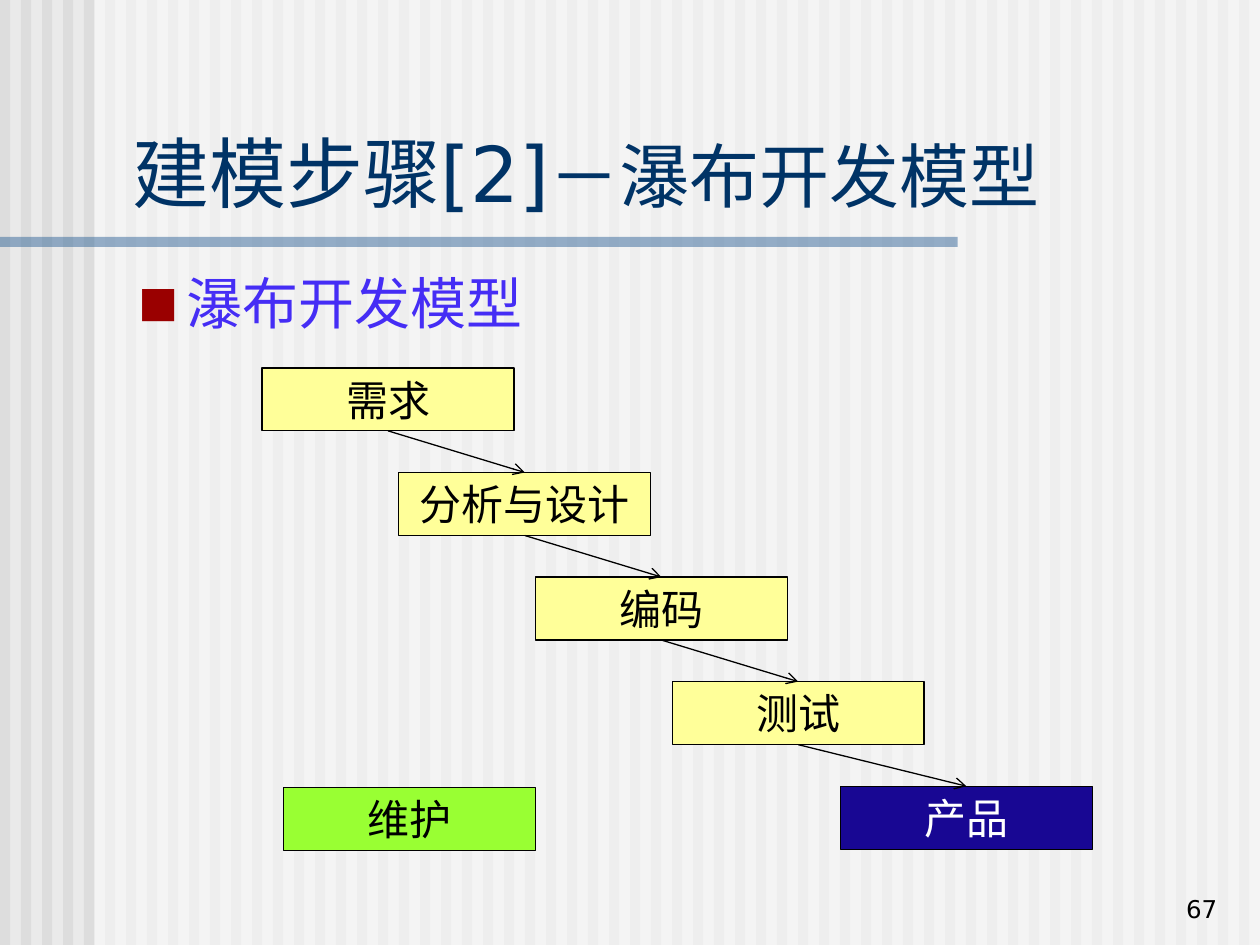
import pptx
import pptx.util
import pptx.dml.color
import pptx.enum.lang
import pptx.enum.shapes
import pptx.enum.text
import pptx.oxml
import pptx.oxml.ns
from pptx.util import Inches

COLORS = {
    "background": "EAEAEA", "stripe": "DDDDDD", "veil": "FFFFFF", "rule": "336699",
    "title": "003366", "bullet": "9A0000", "topic": "452DF5", "text": "000000",
    "step": "FFFF99", "product": "180793", "maintenance": "99FF33", "light": "FFFFFF",
}
ALIGN = pptx.enum.text.PP_ALIGN
ANCHOR = pptx.enum.text.MSO_ANCHOR


class SlideBuilder:
    """Hold the style and the current slide."""

    font_name = "DejaVu Sans"
    line_width = pptx.util.Pt(0.74)

    def __init__(self, presentation):
        """Add a title-only slide with a plain background."""
        self.slide = presentation.slides.add_slide(presentation.slide_layouts[5])
        self.paint(self.slide.background.fill, "background")

    def paint(self, fill, color, opacity=None):
        """Set a solid fill, with an opacity in percent if given."""
        fill.solid()
        fill.fore_color.rgb = pptx.dml.color.RGBColor.from_string(COLORS[color])
        if opacity is not None:
            for color_element in fill._xPr.iter(pptx.oxml.ns.qn("a:srgbClr")):
                self.child(color_element, "a:alpha", val=str(opacity * 1000))

    def child(self, parent, tag, **attributes):
        """Append an XML element and return it."""
        element = pptx.oxml.parse_xml(f"<{tag} {pptx.oxml.ns.nsdecls('a')}/>")
        for name, value in attributes.items():
            element.set(name, value)
        parent.append(element)
        return element

    def style_run(self, run, size, color):
        """Give a run its font, size and colour."""
        run.font.size = pptx.util.Pt(size)
        run.font.name = self.font_name
        run.font.language_id = pptx.enum.lang.MSO_LANGUAGE_ID.SIMPLIFIED_CHINESE
        self.paint(run.font.fill, color)
        self.child(run.font._element, "a:ea", typeface=self.font_name)

    def label(self, shape, text, size, color, align=ALIGN.LEFT, anchor=ANCHOR.TOP):
        """Put one paragraph into a shape and return it."""
        frame = shape.text_frame
        frame.word_wrap = True
        frame.vertical_anchor = anchor
        frame.text = text
        paragraph = frame.paragraphs[0]
        paragraph.alignment = align
        self.style_run(paragraph.runs[0], size, color)
        return paragraph

    def band(self, left, top, width, height, color, opacity=None):
        """Add a rectangle without outline."""
        shape = self.slide.shapes.add_shape(
            pptx.enum.shapes.MSO_SHAPE.RECTANGLE,
            Inches(left), Inches(top), Inches(width), Inches(height))
        shape.shadow.inherit = False
        self.paint(shape.fill, color, opacity)
        shape.line.fill.background()
        return shape

    def title(self, left, top, width, height, parts):
        """Place the title above the background, one run per (text, size)."""
        shape = self.slide.shapes.title
        shape.left, shape.top = Inches(left), Inches(top)
        shape.width, shape.height = Inches(width), Inches(height)
        shape.element.getparent().append(shape.element)
        paragraph = self.label(shape, *parts[0], "title", anchor=ANCHOR.BOTTOM)
        for text, size in parts[1:]:
            run = paragraph.add_run()
            run.text = text
            self.style_run(run, size, "title")

    def text(self, left, top, width, height, *content, **layout):
        """Add a text box and return its paragraph."""
        shape = self.slide.shapes.add_textbox(
            Inches(left), Inches(top), Inches(width), Inches(height))
        return self.label(shape, *content, **layout)

    def bullet(self, *arguments):
        """Add a text box with a small square bullet."""
        properties = self.text(*arguments)._p.get_or_add_pPr()
        indent = Inches(0.38)
        properties.set("marL", str(indent))
        properties.set("indent", str(-indent))
        color = self.child(properties, "a:buClr")
        self.child(color, "a:srgbClr", val=COLORS["bullet"])
        self.child(properties, "a:buSzPct", val="75000")
        self.child(properties, "a:buFont", typeface=self.font_name)
        self.child(properties, "a:buChar", char="■")

    def box(self, left, top, text, fill, color="text"):
        """Add an outlined box with a centred label."""
        shape = self.band(left, top, 2, 0.5, fill)
        self.paint(shape.line.fill, "text")
        shape.line.width = self.line_width
        self.label(shape, text, 24, color, align=ALIGN.CENTER)
        return shape

    def arrow(self, source, target):
        """Connect the bottom of one box to the top of the next."""
        connector = self.slide.shapes.add_connector(
            pptx.enum.shapes.MSO_CONNECTOR.STRAIGHT, 0, 0, 0, 0)
        connector.begin_connect(source, 2)
        connector.end_connect(target, 0)
        self.paint(connector.line.fill, "text")
        connector.line.width = self.line_width
        self.child(connector.line._get_or_add_ln(), "a:tailEnd", type="arrow")
        self.child(connector._element.spPr, "a:effectLst")


def main():
    """Build the waterfall model slide."""
    presentation = pptx.Presentation()
    presentation.slide_width, presentation.slide_height = Inches(10), Inches(7.5)
    builder = SlideBuilder(presentation)

    for index in range(60):
        builder.band(index / 6, 0, 0.08, 7.5, "stripe")
    builder.band(0.75, 0, 9.25, 7.5, "veil", 50)
    builder.band(0, 1.88, 7.6, 0.08, "rule", 50)

    builder.title(0.95, 0.94, 8.93, 0.84,
                  [("建模步骤[2]", 44), ("\uff0d瀑布开发模型", 40)])
    builder.bullet(1, 2.08, 8.87, 0.67, "瀑布开发模型", 32, "topic")

    boxes = [builder.box(2.08 + 1.085 * index, 2.92 + 0.83 * index, text, "step")
             for index, text in enumerate(["需求", "分析与设计", "编码", "测试"])]
    boxes.append(builder.box(6.67, 6.24, "产品", "product", "light"))
    builder.box(2.25, 6.25, "维护", "maintenance")
    for source, target in zip(boxes, boxes[1:]):
        builder.arrow(source, target)

    builder.text(7.68, 6.88, 2.08, 0.5, "67", 14, "text",
                 align=ALIGN.RIGHT, anchor=ANCHOR.BOTTOM)
    presentation.save("out.pptx")


main()
